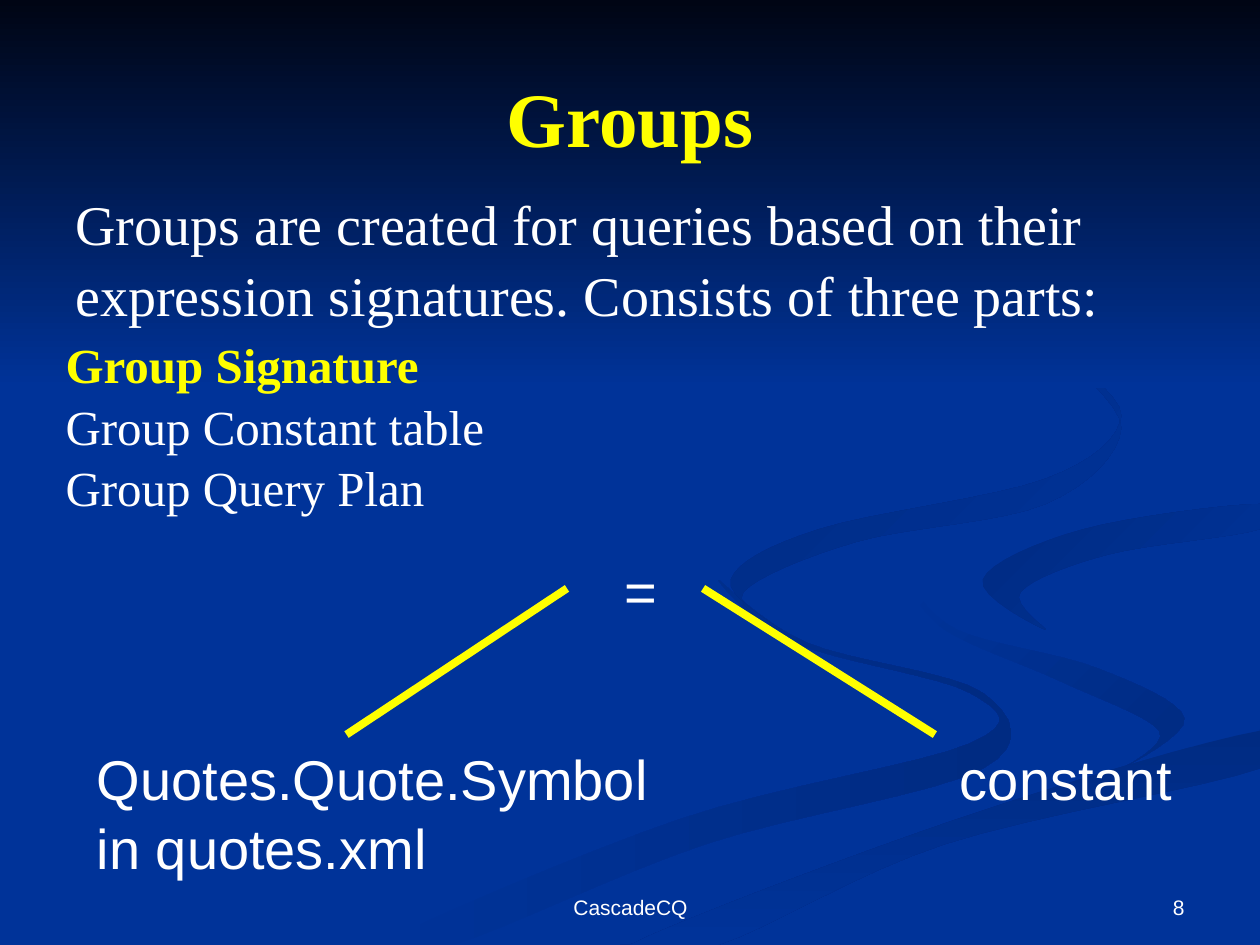
import pptx
import pptx.dml.color
import pptx.enum.shapes
import pptx.enum.text
import pptx.oxml.ns
import pptx.util
from lxml import etree

Inches = pptx.util.Inches
Pt = pptx.util.Pt
ALIGN = pptx.enum.text.PP_ALIGN
ANCHOR = pptx.enum.text.MSO_ANCHOR

COLORS = {
    "background": "003399",
    "night": "000514",
    "shade": "002B82",
    "title": "FFFF00",
    "text": "FFFFFF",
    "line": "FFFF00",
}
SERIF = "Times New Roman"
SANS = "Arial"

# Ribbons: gradient start, gradient end, clockwise angle, outline in inches
RIBBONS = [
    ("background", "shade", 0, [
        (7.8, 5.5), (6.4, 5.1), (5.7, 4.6), (6.3, 5.1), (7.7, 5.5),
        (7.7, 5.9), (5.4, 6.5), (3, 7.5), (3.6, 7.5), (5.6, 6.7), (7.8, 6.1)]),
    ("background", "shade", 45, [
        (9.4, 5.7), (8.7, 5.3), (7.6, 5), (7.2, 4.6), (7.5, 5), (8.4, 5.4),
        (9.2, 5.8), (8.9, 6.1)]),
    ("shade", "background", 90, [
        (5, 7.5), (5.7, 7.5), (7.5, 6.7), (10, 6.1), (10, 5.8), (7.6, 6.5)]),
    ("shade", "background", 45, [
        (7.8, 4.6), (8.3, 5), (8.1, 4.7), (8.8, 4.4), (10, 4.2), (10, 4),
        (8.6, 4.2)]),
    ("shade", "background", 45, [
        (6.8, 4.3), (8.3, 4), (8.9, 3.4), (8.4, 2.8), (8.9, 3.3), (8.3, 3.8),
        (6.5, 4.2), (5.8, 4.6), (6.2, 5), (5.9, 4.7)]),
]


def rgb(value):
    return pptx.dml.color.RGBColor.from_string(value)


def smooth_outline(points, steps=8):
    """Closed Catmull-Rom curve through the points, kept on the slide."""
    count = len(points)
    curve = []
    for i in range(count):
        a, b, c, d = (points[(i + k) % count] for k in (-1, 0, 1, 2))
        for t in (step / steps for step in range(steps)):
            x, y = (q + t * (r - p + t * (2 * p - 5 * q + 4 * r - s
                                          + t * (3 * (q - r) + s - p))) / 2
                    for p, q, r, s in zip(a, b, c, d))
            curve.append((Inches(min(x, 10)), Inches(min(y, 7.5))))
    return curve


def paint_gradient(sp, start, end, angle):
    """Fill without outline; the angle runs clockwise."""
    sp.shadow.inherit = False
    sp.line.fill.background()
    sp.fill.gradient()
    sp.fill.gradient_angle = -angle % 360
    for stop, color, position in zip(sp.fill.gradient_stops, (start, end), (0, 1)):
        stop.color.rgb = rgb(COLORS[color])
        stop.position = position


def add_backdrop(s, prs):
    s.background.fill.solid()
    s.background.fill.fore_color.rgb = rgb(COLORS["background"])
    for start, end, angle, points in RIBBONS:
        outline = smooth_outline(points)
        builder = s.shapes.build_freeform(*outline[0])
        builder.add_line_segments(outline[1:], close=True)
        paint_gradient(builder.convert_to_shape(), start, end, angle)
    sky = s.shapes.add_shape(pptx.enum.shapes.MSO_SHAPE.RECTANGLE,
                             0, 0, prs.slide_width, Inches(3.08))
    paint_gradient(sky, "night", "background", 90)


def write(sp, *lines, size, font=SANS, color="text", align=ALIGN.LEFT,
          anchor=ANCHOR.TOP, bold=False, spacing=1.0):
    """Fill a shape with one paragraph per line and return the paragraphs."""
    tf = sp.text_frame
    tf.word_wrap = True
    tf.auto_size = pptx.enum.text.MSO_AUTO_SIZE.NONE
    tf.vertical_anchor = anchor
    for i, line in enumerate(lines):
        p = tf.paragraphs[0] if i == 0 else tf.add_paragraph()
        p.alignment = align
        p.line_spacing = spacing
        p.space_before = Pt(0)
        r = p.add_run()
        r.text = line
        r.font.name = font
        r.font.size = Pt(size)
        r.font.bold = bold
        r.font.color.rgb = rgb(COLORS[color])
    return tf.paragraphs


def add_text(s, box, *lines, **style):
    return write(s.shapes.add_textbox(*map(Inches, box)), *lines, **style)


def place(s, sp, box):
    """Move a placeholder and bring it in front of the backdrop."""
    sp.left, sp.top, sp.width, sp.height = map(Inches, box)
    s.shapes._spTree.append(sp._element)


def remove_bullet(p):
    pPr = p._p.get_or_add_pPr()
    pPr.set("marL", "0")
    pPr.set("indent", "0")
    etree.SubElement(pPr, pptx.oxml.ns.qn("a:buNone"))


def add_branch(s, x1, y1, x2, y2):
    line = s.shapes.add_connector(pptx.enum.shapes.MSO_CONNECTOR.STRAIGHT,
                                  *map(Inches, (x1, y1, x2, y2)))
    line.line.color.rgb = rgb(COLORS["line"])
    line.line.width = Pt(4.5)
    etree.SubElement(line._element.spPr, pptx.oxml.ns.qn("a:effectLst"))


def main():
    prs = pptx.Presentation()
    prs.slide_width, prs.slide_height = Inches(10), Inches(7.5)
    s = prs.slides.add_slide(prs.slide_layouts[1])
    title, parts = s.placeholders
    add_backdrop(s, prs)

    place(s, title, (0.5, 0.3, 9, 1.25))
    write(title, "Groups", size=44, font=SERIF, color="title", bold=True,
          align=ALIGN.CENTER, anchor=ANCHOR.MIDDLE)
    add_text(s, (0.5, 1.43, 9, 1.2),
             "Groups are created for queries based on their expression "
             "signatures. Consists of three parts:",
             size=32, font=SERIF, spacing=1.05)

    place(s, parts, (0.42, 2.58, 4.58, 1.6))
    paragraphs = write(parts, "Group Signature", "Group Constant table",
                       "Group Query Plan", size=28, font=SERIF, spacing=1.05)
    for p in paragraphs:
        remove_bullet(p)
    current = paragraphs[0].runs[0].font
    current.bold = True
    current.color.rgb = rgb(COLORS["title"])

    add_text(s, (0.67, 4.37, 8.83, 0.65), "=", size=32, align=ALIGN.CENTER)
    for top_x, bottom_x in ((4.5, 2.75), (5.58, 7.42)):
        add_branch(s, top_x, 4.67, bottom_x, 5.83)
    add_text(s, (0.67, 5.85, 5, 1.15), "Quotes.Quote.Symbol", "in quotes.xml",
             size=32, spacing=1.02)
    add_text(s, (7.52, 5.85, 1.98, 0.65), "constant", size=32, spacing=1.02)

    add_text(s, (3.42, 6.83, 3.17, 0.52), "CascadeCQ", size=12,
             align=ALIGN.CENTER, anchor=ANCHOR.BOTTOM)
    add_text(s, (7.17, 6.83, 2.33, 0.52), "8", size=12,
             align=ALIGN.RIGHT, anchor=ANCHOR.BOTTOM)
    prs.save("out.pptx")


if __name__ == "__main__":
    main()
